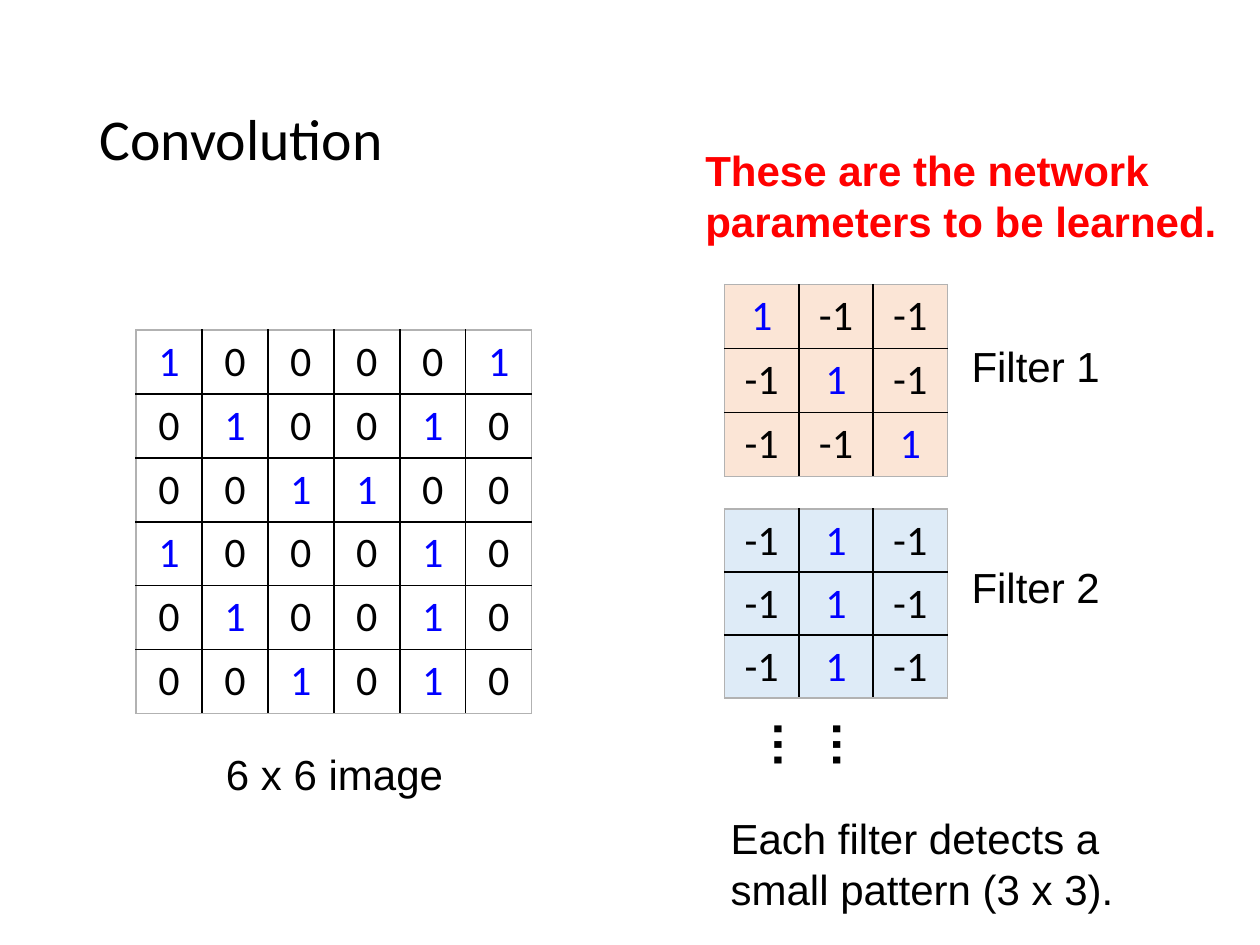
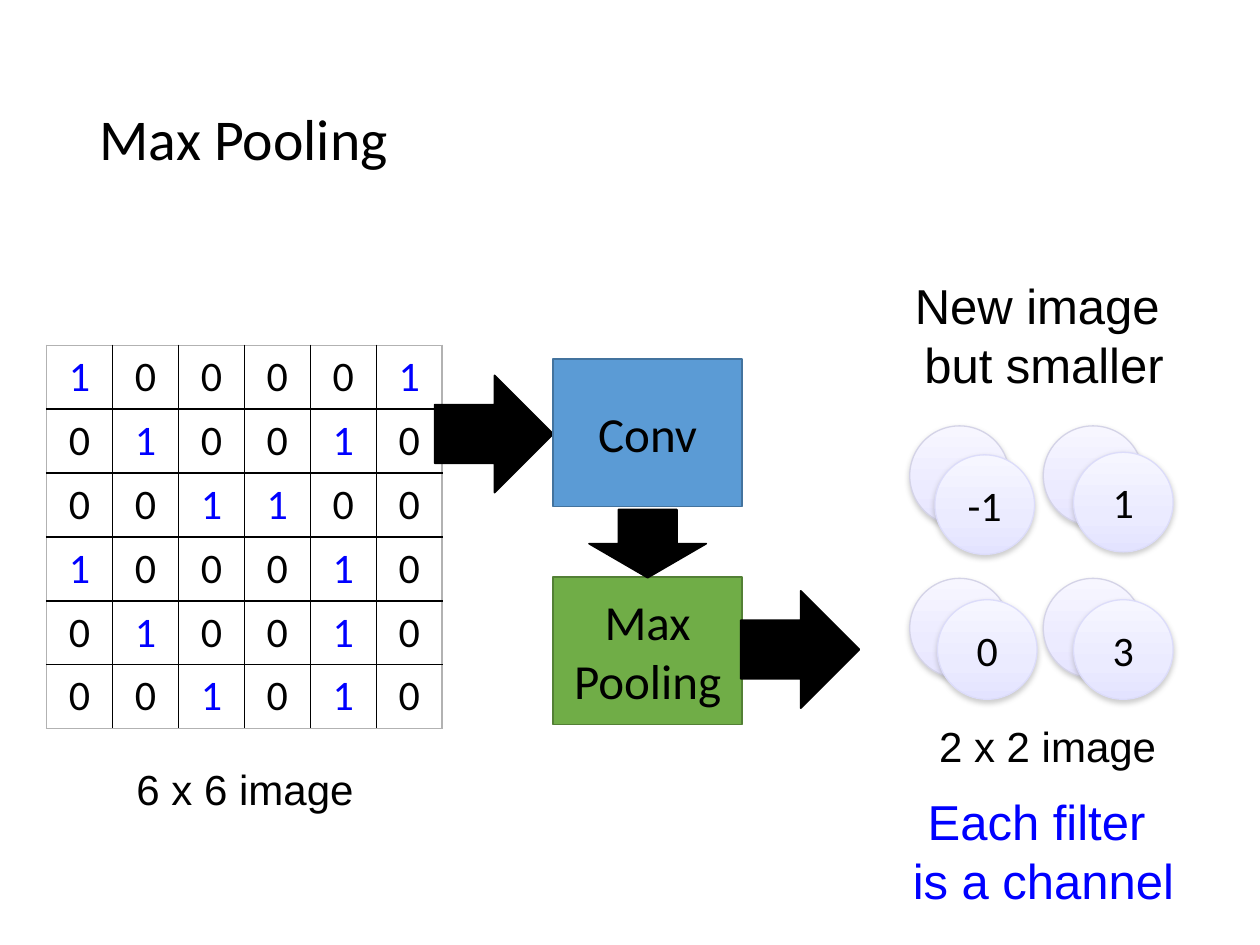
import copy
import pptx
import pptx.util
import pptx.dml.color
import pptx.enum.shapes
import pptx.enum.text
import pptx.oxml
import pptx.oxml.ns
from pptx.util import Inches

COLORS = {
    "black": "000000", "blue": "0000FF", "red": "FF0000", "frame": "B2B2B2",
    "peach": "FBE5D6", "sky": "DEEBF7",
    "conv": "5B9BD5", "conv_edge": "43739E",
    "pool": "70AD47", "pool_edge": "538035",
    "back_edge": "D4D3E7", "front_edge": "DCDCFA",
}
RGB = {name: pptx.dml.color.RGBColor.from_string(value) for name, value in COLORS.items()}
DISC_FILLS = {
    "back": ["F7F6FF", "ECEBFF", "E5E3FF"],
    "front": ["F6F6FF", "EBEBFF", "E3E3FF"],
}
CENTER = pptx.enum.text.PP_ALIGN.CENTER
LEFT = pptx.enum.text.PP_ALIGN.LEFT
MIDDLE = pptx.enum.text.MSO_ANCHOR.MIDDLE
SHAPES = pptx.enum.shapes.MSO_SHAPE
NAMESPACE = pptx.oxml.ns.nsdecls("a")
IMAGE = ["100001", "010010", "001100", "100010", "010010", "001010"]
IMAGE_ROWS = [list(row) for row in IMAGE]


def write_text(shape, text, size, font="Calibri", color="black", align=CENTER, bold=False):
    frame = shape.text_frame
    frame.word_wrap = True
    frame.text = text
    for para in frame.paragraphs:
        para.alignment = align
        para.font.name = font
        para.font.size = pptx.util.Pt(size)
        para.font.bold = bold
        para.font.color.rgb = RGB[color]


def add_grid(page, rows, left, top, width, fill=None):
    table = page.shapes.add_table(
        len(rows), len(rows[0]), Inches(left), Inches(top),
        Inches(width), Inches(0.5 * len(rows))).table
    table.first_row = False
    table.horz_banding = False
    for row_index, row in enumerate(rows):
        for column_index, value in enumerate(row):
            cell = table.cell(row_index, column_index)
            write_text(cell, value, 24, color="blue" if value == "1" else "black")
            properties = cell._tc.get_or_add_tcPr()
            outer_sides = {
                "lnL": column_index == 0, "lnR": column_index == len(row) - 1,
                "lnT": row_index == 0, "lnB": row_index == len(rows) - 1,
            }
            for side, outer in outer_sides.items():
                color = COLORS["frame" if outer else "black"]
                properties.append(pptx.oxml.parse_xml(
                    f'<a:{side} {NAMESPACE} w="12700"><a:solidFill>'
                    f'<a:srgbClr val="{color}"/></a:solidFill></a:{side}>'))
            if fill:
                cell.fill.solid()
                cell.fill.fore_color.rgb = RGB[fill]
            else:
                cell.fill.background()


deck = pptx.Presentation()
deck.slide_width = Inches(10)
deck.slide_height = Inches(7.5)

pages = []
for heading in ("Convolution", "Max Pooling"):
    page = deck.slides.add_slide(deck.slide_layouts[5])
    title = page.shapes.title
    title.left, title.top = Inches(0.69), Inches(0.4)
    title.width, title.height = Inches(8.62), Inches(1.45)
    write_text(title, heading, 33, align=LEFT)
    title.text_frame.vertical_anchor = MIDDLE
    title.text_frame.paragraphs[0].line_spacing = 0.9
    pages.append(page)
convolution, pooling = pages

add_grid(convolution, IMAGE_ROWS, 1.08, 2.62, 3.14)
add_grid(pooling, IMAGE_ROWS, 0.37, 2.74, 3.14)

FILTERS = [
    ("Filter 1", 2.26, 2.65, "peach", [["1", "-1", "-1"], ["-1", "1", "-1"], ["-1", "-1", "1"]]),
    ("Filter 2", 4.04, 4.41, "sky", [["-1", "1", "-1"]] * 3),
]
for name, grid_top, name_top, fill, rows in FILTERS:
    add_grid(convolution, rows, 5.75, grid_top, 1.77, fill)
    box = convolution.shapes.add_textbox(Inches(7.43), Inches(name_top), Inches(1.58), Inches(0.51))
    write_text(box, name, 24, "Arial")

for level, edge, discs in [
    ("back", "back_edge", [("", left, top) for top in (3.38, 4.59) for left in (7.22, 8.28)]),
    ("front", "front_edge", [("-1", 7.42, 3.61), ("1", 8.52, 3.59), ("3", 8.52, 4.76), ("0", 7.44, 4.76)]),
]:
    for value, left, top in discs:
        disc = pooling.shapes.add_shape(
            SHAPES.OVAL, Inches(left), Inches(top), Inches(0.79), Inches(0.79))
        disc.fill.gradient()
        disc.fill.gradient_angle = 270
        stop_list = disc._element.spPr.find(".//" + pptx.oxml.ns.qn("a:gsLst"))
        stop_list.append(copy.deepcopy(stop_list[-1]))
        for stop, position, shade in zip(disc.fill.gradient_stops, (0, 0.65, 1), DISC_FILLS[level]):
            stop.position = position
            stop.color.rgb = pptx.dml.color.RGBColor.from_string(shade)
        disc.line.color.rgb = RGB[edge]
        disc.line.width = pptx.util.Pt(0.75)
        disc.shadow.inherit = False
        disc._element.spPr.find(pptx.oxml.ns.qn("a:effectLst")).append(pptx.oxml.parse_xml(
            f'<a:outerShdw {NAMESPACE} blurRad="39370" dist="20320" dir="5400000" rotWithShape="0">'
            '<a:srgbClr val="808080"><a:alpha val="38000"/></a:srgbClr></a:outerShdw>'))
        if value:
            write_text(disc, value, 24)
            disc.text_frame.vertical_anchor = MIDDLE

FLOW = [
    (SHAPES.RIGHT_ARROW, 3.45, 2.98, 0.94, 0.93, 0, "black", "black", ""),
    (SHAPES.RECTANGLE, 4.39, 2.85, 1.5, 1.17, 0, "conv", "conv_edge", "Conv"),
    (SHAPES.RECTANGLE, 4.39, 4.58, 1.5, 1.17, 0, "pool", "pool_edge", "Max\nPooling"),
    (SHAPES.RIGHT_ARROW, 5.88, 4.69, 0.94, 0.93, 0, "black", "black", ""),
    (SHAPES.RIGHT_ARROW, 4.87, 3.85, 0.54, 0.93, 90, "black", "black", ""),
]
for kind, left, top, width, height, turn, fill, edge, text in FLOW:
    step = pooling.shapes.add_shape(kind, Inches(left), Inches(top), Inches(width), Inches(height))
    step.rotation = turn
    step.shadow.inherit = False
    step.fill.solid()
    step.fill.fore_color.rgb = RGB[fill]
    step.line.color.rgb = RGB[edge]
    step.line.width = pptx.util.Pt(1)
    if text:
        write_text(step, text, 28)
        step.text_frame.vertical_anchor = MIDDLE

LABELS = [
    (convolution, "6 x 6 image", 1.37, 5.89, 2.57, 0.5, 24, "black", CENTER, False, 0),
    (convolution, "……", 6.38, 5.72, 0.77, 0.57, 28, "black", LEFT, True, 90),
    (convolution, "These are the network parameters to be learned.",
     5.5, 1.1, 4.33, 0.91, 24, "red", LEFT, True, 0),
    (convolution, "Each filter detects a small pattern (3 x 3).",
     5.7, 6.4, 3.89, 0.91, 24, "black", LEFT, False, 0),
    (pooling, "6 x 6 image", 0.66, 6.01, 2.57, 0.51, 24, "black", CENTER, False, 0),
    (pooling, "2 x 2 image", 7.03, 5.67, 2.57, 0.51, 24, "black", CENTER, False, 0),
    (pooling, "Each filter \nis a channel", 7.04, 6.23, 2.48, 1.05, 28, "blue", CENTER, False, 0),
    (pooling, "New image \nbut smaller", 7.04, 2.14, 2.49, 1.04, 28, "black", CENTER, False, 0),
]
for page, text, left, top, width, height, size, color, align, bold, turn in LABELS:
    box = page.shapes.add_textbox(Inches(left), Inches(top), Inches(width), Inches(height))
    write_text(box, text, size, "Arial", color, align, bold)
    box.rotation = turn

deck.save("out.pptx")
